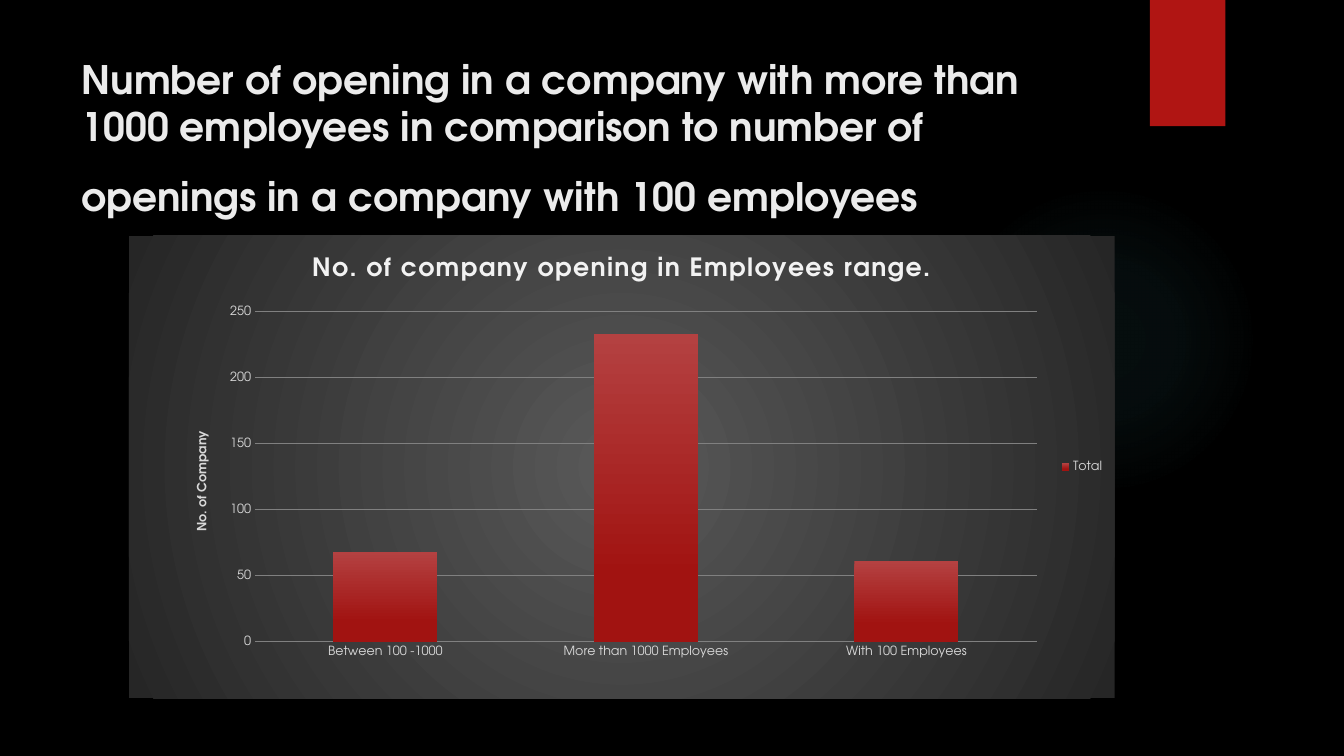
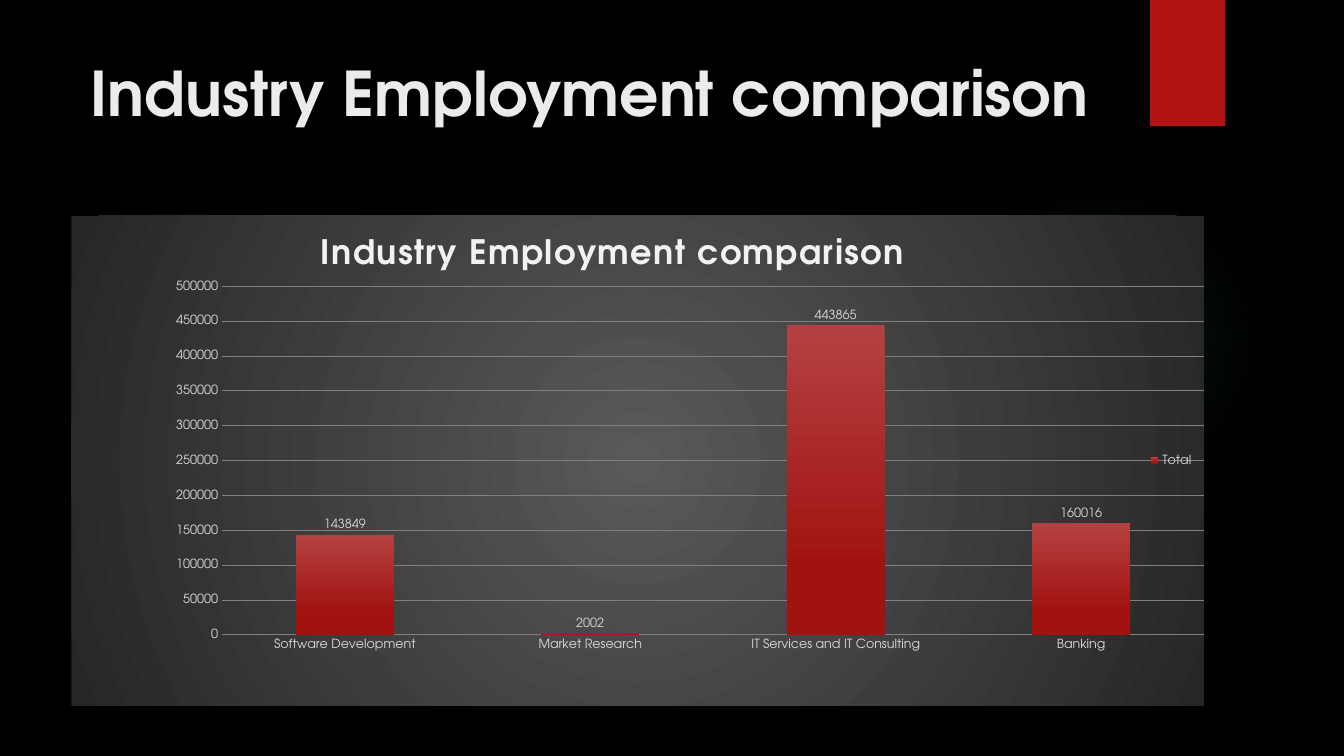
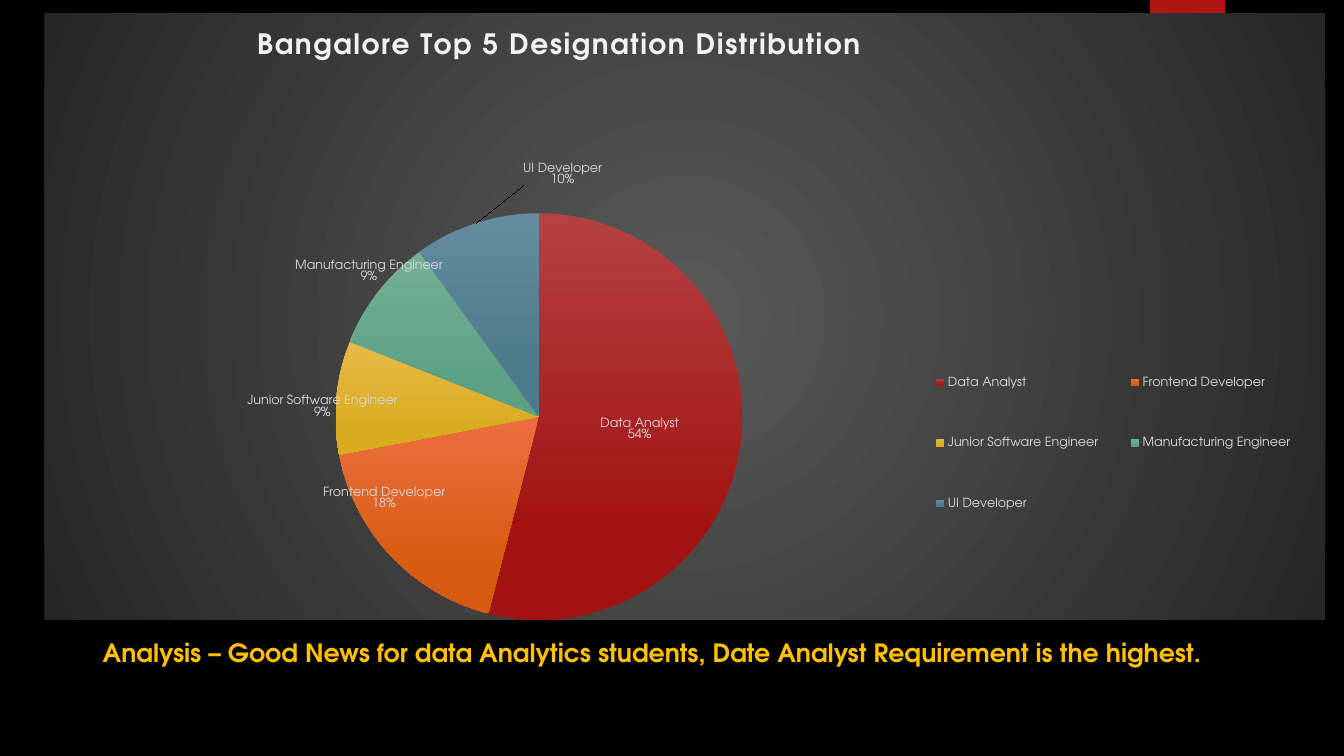
from copy import deepcopy

from lxml import etree
from pptx import Presentation
from pptx.chart.data import CategoryChartData
from pptx.dml.color import RGBColor
from pptx.enum.chart import XL_CHART_TYPE, XL_LABEL_POSITION, XL_LEGEND_POSITION, XL_TICK_MARK
from pptx.enum.shapes import MSO_SHAPE
from pptx.enum.text import MSO_ANCHOR, PP_ALIGN
from pptx.oxml import parse_xml
from pptx.oxml.ns import nsdecls, qn
from pptx.util import Cm, Pt

COLUMN, PIE = XL_CHART_TYPE.COLUMN_CLUSTERED, XL_CHART_TYPE.PIE
LABEL_CENTER, LABEL_OUTSIDE = XL_LABEL_POSITION.CENTER, XL_LABEL_POSITION.OUTSIDE_END
LEGEND_RIGHT, NO_TICK = XL_LEGEND_POSITION.RIGHT, XL_TICK_MARK.NONE
OVAL, RECTANGLE = MSO_SHAPE.OVAL, MSO_SHAPE.RECTANGLE
TOP, LEFT, CENTER = MSO_ANCHOR.TOP, PP_ALIGN.LEFT, PP_ALIGN.CENTER

FONT = "TeX Gyre Adventor"
BLACK = RGBColor(0x00, 0x00, 0x00)
WHITE = RGBColor(0xFF, 0xFF, 0xFF)
RED = RGBColor(0xB0, 0x15, 0x13)
TITLE_GRAY = RGBColor(0xEB, 0xEB, 0xEB)
CHART_TITLE_GRAY = RGBColor(0xF2, 0xF2, 0xF2)
LABEL_GRAY = RGBColor(0xD9, 0xD9, 0xD9)
GRID_GRAY = RGBColor(0x80, 0x80, 0x80)
PANEL_LIGHT = RGBColor(0x59, 0x59, 0x59)
PANEL_DARK = RGBColor(0x26, 0x26, 0x26)
TEAL = RGBColor(0x50, 0xB9, 0xC1)
AMBER = RGBColor(0xFF, 0xC0, 0x00)

# Light and dark end of each data colour
DATA_COLORS = [
    (RGBColor(0xB4, 0x41, 0x41), RGBColor(0xA1, 0x13, 0x11)),
    (RGBColor(0xEB, 0x6F, 0x40), RGBColor(0xD6, 0x5B, 0x10)),
    (RGBColor(0xE7, 0xBB, 0x48), RGBColor(0xD9, 0xAB, 0x1F)),
    (RGBColor(0x75, 0xB0, 0x97), RGBColor(0x5D, 0xA1, 0x84)),
    (RGBColor(0x63, 0x8C, 0xA0), RGBColor(0x4D, 0x79, 0x8D)),
]

# Boxes are left, top, width, height in cm; places inside a chart are percent of it
PAGES = [
    {
        "title": ["Number of opening in a company with more than 1000 employees "
                  "in comparison to number of",
                  "openings in a company with 100 employees"],
        "title_size": 28, "align": LEFT,
        "kind": COLUMN, "box": (3.25, 5.94, 24.84, 11.66),
        "chart_title": "No. of company opening in Employees range.", "chart_title_size": 18,
        "plot": (12.8, 16.4, 79.3, 71.4),
        "axis_title": "No. of Company", "top": 250, "step": 50,
        "series": "Total",
        "data": {"Between 100 -1000": 68, "More than 1000 Employees": 233,
                 "With 100 Employees": 61},
    },
    {
        "title": ["Industry Employment comparison"], "title_size": 44, "align": CENTER,
        "kind": COLUMN, "box": (1.8, 5.44, 28.55, 12.34),
        "chart_title": "Industry Employment comparison", "chart_title_size": 24,
        "chart_title_place": (21.5, 2.8),
        "plot": (13.3, 14.4, 86.7, 71.2),
        "top": 500000, "step": 50000, "labels": LABEL_OUTSIDE,
        "series": "Total",
        "data": {"Software Development": 143849, "Market Research": 2002,
                 "IT Services and IT Consulting": 443865, "Banking": 160016},
    },
    {
        "kind": PIE, "box": (1.12, 0.33, 32.28, 15.29),
        "chart_title": "Bangalore Top 5 Designation Distribution", "chart_title_size": 20,
        "chart_title_place": (16.2, 2),
        "plot": (6.3, 33, 64.6, 67), "legend": (67.4, 51.9, 32.1, 38),
        "labels": LABEL_CENTER,
        "label_shifts": {1: (-6.3, 2), 2: (-9, 0), 3: (-7, -13.7), 4: (4.3, -24)},
        "series": "Series 1",
        "data": {"Data Analyst": 54, "Frontend Developer": 18, "Junior Software Engineer": 9,
                 "Manufacturing Engineer": 9, "UI Developer": 10},
        "note": "Analysis – Good News for data Analytics students, "
                "Date Analyst Requirement is the highest.",
    },
]


def radial_fill(stops):
    """Return a gradient running out from the centre; stops are position, colour, opacity."""
    marks = "".join(
        f'<a:gs pos="{position * 1000}"><a:srgbClr val="{color}">'
        f'<a:alpha val="{opacity * 1000}"/></a:srgbClr></a:gs>'
        for position, color, opacity in stops)
    return parse_xml(
        f'<a:gradFill {nsdecls("a")} rotWithShape="1"><a:gsLst>{marks}</a:gsLst>'
        '<a:path path="circle"><a:fillToRect l="50000" t="50000" r="50000" b="50000"/>'
        '</a:path></a:gradFill>')


def place(element, index, percents, modes=("xMode", "yMode"), inner=False):
    """Give a chart part a manual layout as its child number index."""
    for old in element.findall(qn("c:layout")):
        element.remove(old)
    layout = etree.Element(qn("c:layout"))
    manual = etree.SubElement(layout, qn("c:manualLayout"))
    if inner:
        etree.SubElement(manual, qn("c:layoutTarget")).set("val", "inner")
    for mode in modes:
        etree.SubElement(manual, qn(f"c:{mode}")).set("val", "edge")
    for name, percent in zip("xywh", percents):
        etree.SubElement(manual, qn(f"c:{name}")).set("val", f"{percent / 100:g}")
    element.insert(index, layout)


deck = Presentation()
deck.slide_width, deck.slide_height = Cm(33.87), Cm(19.05)

for content in PAGES:
    # Background, glow and red band
    page = deck.slides.add_slide(deck.slide_layouts[6])
    page.background.fill.solid()
    page.background.fill.fore_color.rgb = BLACK
    glow = page.shapes.add_shape(OVAL, Cm(23.9), Cm(4.65), Cm(7.82), Cm(7.82))
    band = page.shapes.add_shape(RECTANGLE, Cm(28.98), Cm(0), Cm(1.9), Cm(3.18))
    for shape in (glow, band):
        shape.shadow.inherit = False
        shape.line.fill.background()
    glow_fill = radial_fill([(0, TEAL, 7), (36, TEAL, 6), (69, TEAL, 0)])
    glow.element.spPr.find(qn("a:prstGeom")).addnext(glow_fill)
    band.fill.solid()
    band.fill.fore_color.rgb = RED

    # Slide title
    if "title" in content:
        box = page.shapes.add_textbox(Cm(1.8), Cm(1.27), Cm(26.14), Cm(4))
        frame = box.text_frame
        frame.word_wrap = True
        frame.vertical_anchor = TOP
        frame.text = "\n".join(content["title"])
        for number, para in enumerate(frame.paragraphs):
            para.alignment = content["align"]
            para.space_before = Pt(16 * number)
            para.font.name, para.font.size = FONT, Pt(content["title_size"])
            para.font.bold = True
            para.font.color.rgb = TITLE_GRAY

    # Chart and its panel
    data = CategoryChartData()
    data.categories = list(content["data"])
    data.add_series(content["series"], list(content["data"].values()))
    chart = page.shapes.add_chart(
        content["kind"], *[Cm(length) for length in content["box"]], data).chart
    chart.font.name, chart.font.size = FONT, Pt(10)
    chart.font.color.rgb = WHITE
    panel = etree.Element(qn("c:spPr"))
    panel.append(radial_fill([(0, PANEL_LIGHT, 100), (100, PANEL_DARK, 100)]))
    etree.SubElement(etree.SubElement(panel, qn("a:ln")), qn("a:noFill"))
    chart_part = chart.element.find(qn("c:chart"))
    chart_part.addnext(panel)
    place(chart_part.find(qn("c:plotArea")), 0, content["plot"], inner=True)

    # Chart title
    chart.has_title = True
    para = chart.chart_title.text_frame.paragraphs[0]
    span = para.add_run()
    span.text = content["chart_title"]
    span.font.name, span.font.size = FONT, Pt(content["chart_title_size"])
    span.font.bold = True
    span.font.color.rgb = CHART_TITLE_GRAY
    span.font._element.set("spc", "100")
    if "chart_title_place" in content:
        place(chart.chart_title._element, 1, content["chart_title_place"])

    # Legend
    chart.has_legend = True
    legend = chart.legend
    legend.position = LEGEND_RIGHT
    legend.include_in_layout = False
    legend.font.name, legend.font.size = FONT, Pt(9)
    legend.font.color.rgb = LABEL_GRAY
    if "legend" in content:
        place(legend._element, 1, content["legend"])

    # Data colours
    plot = chart.plots[0]
    series = plot.series[0]
    if content["kind"] == PIE:
        plot.vary_by_categories = True
        painted = [series.points[number] for number in range(len(content["data"]))]
    else:
        plot.vary_by_categories = False
        plot.gap_width = 150
        painted = [series]
    for part, shades in zip(painted, DATA_COLORS):
        fill = part.format.fill
        fill.gradient()
        fill.gradient_angle = 270
        for stop, shade, position in zip(fill.gradient_stops, shades, (0, 0.78)):
            stop.color.rgb = shade
            stop.position = position

    # Axes
    if content["kind"] == COLUMN:
        for axis in (chart.category_axis, chart.value_axis):
            axis.major_tick_mark = axis.minor_tick_mark = NO_TICK
            axis.format.line.fill.background()
            axis.tick_labels.font.name, axis.tick_labels.font.size = FONT, Pt(9)
            axis.tick_labels.font.color.rgb = LABEL_GRAY
        axis.minimum_scale, axis.maximum_scale = 0, content["top"]
        axis.major_unit = content["step"]
        axis.has_major_gridlines = True
        axis.major_gridlines.format.line.color.rgb = GRID_GRAY
        axis.major_gridlines.format.line.width = Pt(0.75)
        if "axis_title" in content:
            frame = axis.axis_title.text_frame
            frame.text = content["axis_title"]
            para = frame.paragraphs[0]
            para.font.name, para.font.size, para.font.bold = FONT, Pt(9), True
            para.font.color.rgb = LABEL_GRAY
            body = axis.axis_title._element.find(".//" + qn("a:bodyPr"))
            body.set("rot", "-5400000")
            body.set("vert", "horz")
            place(axis.axis_title._element, 1, (6.5, 41.7))

    # Data labels
    if "labels" in content:
        labels = series.data_labels
        labels.position = content["labels"]
        labels.font.name, labels.font.size = FONT, Pt(9)
        labels.font.color.rgb = LABEL_GRAY
        labels.show_value = content["kind"] == COLUMN
        labels.show_category_name = labels.show_percentage = content["kind"] == PIE
    if "label_shifts" in content:
        group = labels._element
        separator = etree.Element(qn("c:separator"))
        separator.text = "\n"
        last_flag = (group.findall(qn("c:showBubbleSize")) or group.findall(qn("c:showPercent")))[0]
        last_flag.addnext(separator)
        shared = [child for child in group if child.tag != qn("c:showLeaderLines")]
        for order, (number, shift) in enumerate(content["label_shifts"].items()):
            label = etree.Element(qn("c:dLbl"))
            etree.SubElement(label, qn("c:idx")).set("val", str(number))
            label.extend([deepcopy(child) for child in shared])
            place(label, 1, shift, modes=())
            group.insert(order, label)

    # Remark below the chart
    if "note" in content:
        box = page.shapes.add_textbox(Cm(2.34), Cm(15.93), Cm(29.49), Cm(1.02))
        box.text_frame.word_wrap = True
        box.text_frame.text = content["note"]
        para = box.text_frame.paragraphs[0]
        para.font.name, para.font.size, para.font.bold = FONT, Pt(18), True
        para.font.color.rgb = AMBER

deck.save("out.pptx")
